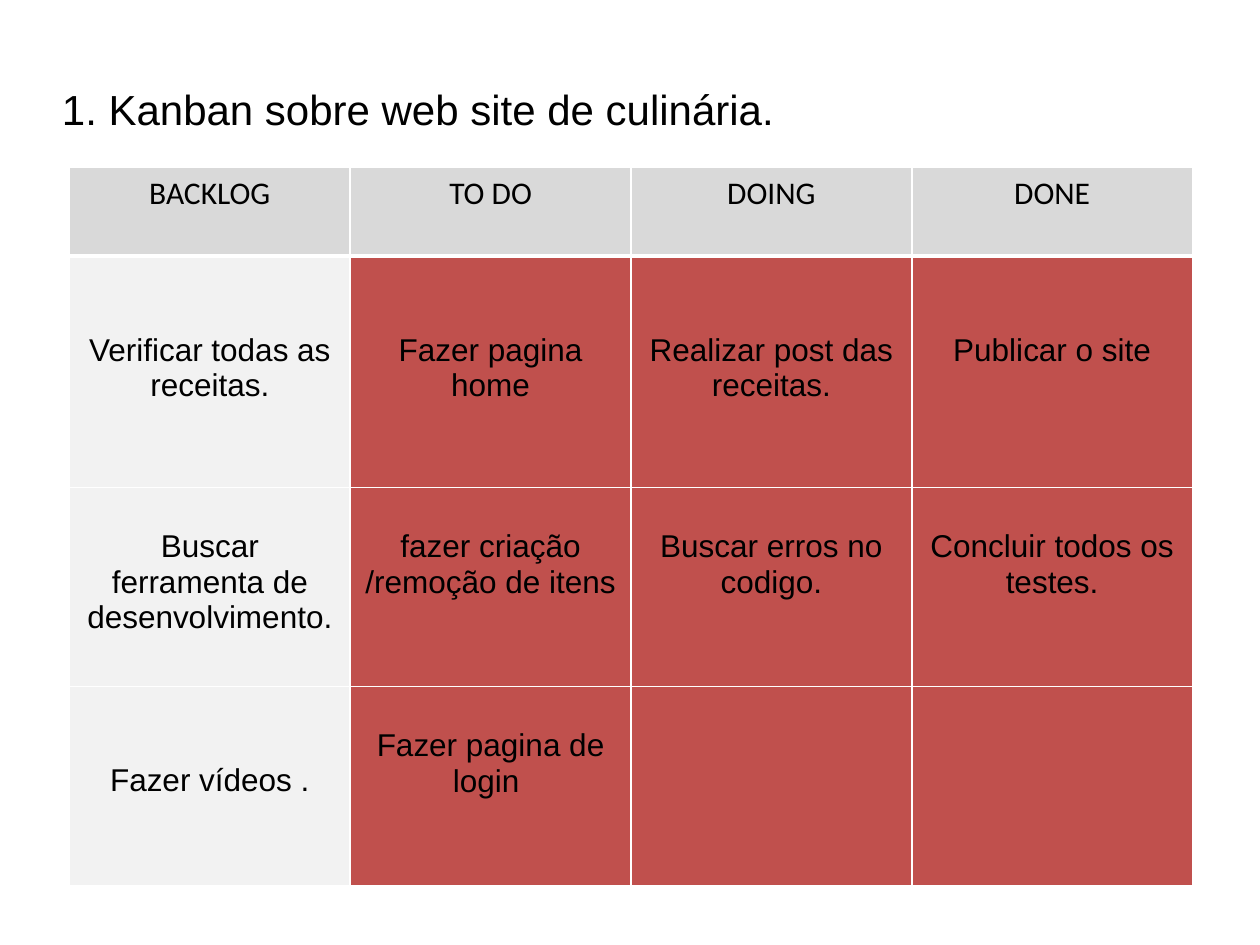
"""Build a Kanban board slide for a cooking web site."""
from lxml import etree
from pptx import Presentation
from pptx.dml.color import RGBColor
from pptx.enum.text import MSO_ANCHOR, PP_ALIGN
from pptx.oxml.ns import qn
from pptx.util import Cm, Pt

LEFT, CENTER = PP_ALIGN.LEFT, PP_ALIGN.CENTER
TOP, MIDDLE = MSO_ANCHOR.TOP, MSO_ANCHOR.MIDDLE
HEADER_FILL, BACKLOG_FILL, TASK_FILL = "D9D9D9", "F2F2F2", "C0504D"
COLUMN_WIDTH = 5.66
ROW_HEIGHTS = [1.78, 4.67, 4.01, 4.01]
CELL_MARGIN, LINE_HEIGHT = 0.13, 0.71

# Each cell holds its text and the number of lines it is moved down.
BOARD = [
    [("BACKLOG", 0), ("TO DO", 0), ("DOING", 0), ("DONE", 0)],
    [("Verificar todas as receitas.", 2), ("Fazer pagina home", 2),
     ("Realizar post das receitas.", 2), ("Publicar o site", 2)],
    [("Buscar ferramenta de desenvolvimento.", 1), ("fazer criação /remoção de itens ", 1),
     ("Buscar erros no codigo.", 1), ("Concluir todos os testes.", 1)],
    [("Fazer vídeos .", 2), ("Fazer pagina de login ", 1), ("", 0), ("", 0)],
]


def write(frame, text, font="Arial", size=18, color="000000", align=CENTER):
    """Write one formatted paragraph into a text frame."""
    frame.word_wrap = True
    para = frame.paragraphs[0]
    para.alignment = align
    if text:
        span = para.add_run()
        span.text = text
        span.font.name = font
        span.font.size = Pt(size)
        span.font.bold = False
        span.font.color.rgb = RGBColor.from_string(color)


def add_border(cell, side, width, color="FFFFFF"):
    """Add a solid border to one side of a cell."""
    line = etree.SubElement(cell._tc.get_or_add_tcPr(), qn(f"a:ln{side}"), w=str(Pt(width)))
    fill = etree.SubElement(line, qn("a:solidFill"))
    etree.SubElement(fill, qn("a:srgbClr"), val=color)


deck = Presentation()
deck.slide_width, deck.slide_height = Cm(25.4), Cm(19.05)
page = deck.slides.add_slide(deck.slide_layouts[6])

title = page.shapes.add_textbox(Cm(1), Cm(1.2), Cm(23.62), Cm(1.98))
title.text_frame.vertical_anchor = MIDDLE
write(title.text_frame, "1. Kanban sobre web site de culinária.", size=24, align=LEFT)

table = page.shapes.add_table(
    len(BOARD), len(BOARD[0]), Cm(1.4), Cm(3.38),
    Cm(COLUMN_WIDTH * len(BOARD[0])), Cm(sum(ROW_HEIGHTS))).table
table.horz_banding = False
for column in table.columns:
    column.width = Cm(COLUMN_WIDTH)

for row_index, (height, entries) in enumerate(zip(ROW_HEIGHTS, BOARD)):
    table.rows[row_index].height = Cm(height)
    is_header = row_index == 0
    for column_index, (text, lines_down) in enumerate(entries):
        cell = table.cell(row_index, column_index)
        cell.vertical_anchor = TOP
        cell.margin_top = Cm(CELL_MARGIN + LINE_HEIGHT * lines_down)
        widths = {"L": 1, "R": 1, "T": 3 if row_index == 1 else 1, "B": 3 if is_header else 1}
        for side, width in widths.items():
            add_border(cell, side, width)
        body_fill = BACKLOG_FILL if column_index == 0 else TASK_FILL
        cell.fill.solid()
        cell.fill.fore_color.rgb = RGBColor.from_string(HEADER_FILL if is_header else body_fill)
        write(cell.text_frame, text, font="Calibri" if is_header else "Arial")

deck.save("out.pptx")
